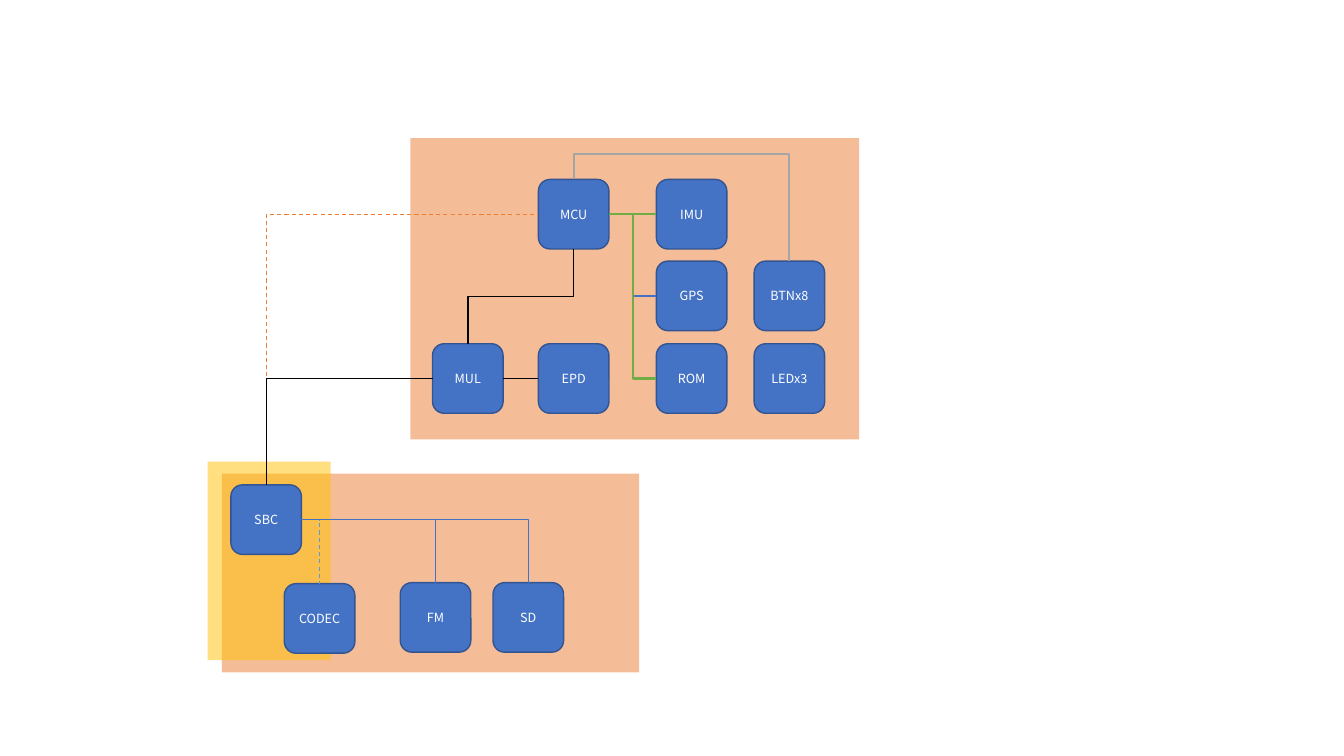
from lxml import etree
from pptx import Presentation
from pptx.dml.color import RGBColor
from pptx.enum.dml import MSO_LINE as Dash
from pptx.enum.shapes import MSO_CONNECTOR as Link, MSO_SHAPE as Shape
from pptx.enum.text import MSO_ANCHOR as Anchor, PP_ALIGN as Align
from pptx.oxml.ns import qn
from pptx.util import Inches, Pt

ORANGE = RGBColor(0xED, 0x7D, 0x31)
GOLD = RGBColor(0xFF, 0xC0, 0x00)
BLUE = RGBColor(0x44, 0x72, 0xC4)
NAVY = RGBColor(0x32, 0x54, 0x91)
SKY = RGBColor(0x5B, 0x9B, 0xD5)
GREEN = RGBColor(0x70, 0xAD, 0x47)
GRAY = RGBColor(0xA5, 0xA5, 0xA5)
BLACK = RGBColor(0x00, 0x00, 0x00)
WHITE = RGBColor(0xFF, 0xFF, 0xFF)
FONT = "Noto Sans CJK KR"

TOP, LEFT, BOTTOM, RIGHT = range(4)
COLS = (4.29, 5.34, 6.51, 7.48)
ROWS = (1.78, 2.59, 3.41)
GRID = (
    ("IMU", 2, 0), ("GPS", 2, 1), ("EPD", 1, 2), ("ROM", 2, 2),
    ("LEDx3", 3, 2), ("BTNx8", 3, 1), ("MCU", 1, 0), ("MUL", 0, 2),
)
LOWER = (("SBC", 2.29, 4.81), ("FM", 3.97, 5.78), ("CODEC", 2.82, 5.79), ("SD", 4.89, 5.78))

# Sides joined: preset, quarter turns, flips, bend position
ROUTES = {
    (RIGHT, LEFT): ("bentConnector3", 0, "", None),
    (RIGHT, TOP): ("bentConnector2", 0, "", None),
    (BOTTOM, TOP): ("bentConnector3", 1, "", None),
    (TOP, LEFT): ("bentConnector2", 1, "HV", None),
    (TOP, TOP): ("bentConnector3", 3, "H", -30700),
}
WIRES = (
    ("SBC", RIGHT, "SD", TOP, BLUE, 0.5, None),
    ("SBC", TOP, "MCU", LEFT, ORANGE, 0.75, Dash.DASH),
    ("MUL", RIGHT, "EPD", LEFT, BLACK, 1, None),
    ("MCU", BOTTOM, "MUL", TOP, BLACK, 1, None),
    ("SBC", TOP, "MUL", LEFT, BLACK, 1, None),
    ("SBC", RIGHT, "CODEC", TOP, SKY, 0.75, Dash.DASH),
    ("SBC", RIGHT, "FM", TOP, BLUE, 0.5, None),
    ("MCU", RIGHT, "IMU", LEFT, GREEN, 1.5, None),
    ("MCU", RIGHT, "GPS", LEFT, BLUE, 1.5, None),
    ("MCU", RIGHT, "ROM", LEFT, GREEN, 1.5, None),
    ("MCU", TOP, "BTNx8", TOP, GRAY, 1.5, None),
)


def add_box(slide, kind, x, y, w, h, color):
    box = slide.shapes.add_shape(kind, Inches(x), Inches(y), Inches(w), Inches(h))
    box.shadow.inherit = False
    box.fill.solid()
    box.fill.fore_color.rgb = color
    return box


def add_panel(slide, x, y, w, h, color):
    """Add a half-transparent board area."""
    panel = add_box(slide, Shape.RECTANGLE, x, y, w, h, color)
    panel.line.fill.background()
    tint = panel.fill._xPr.find(qn("a:solidFill"))[0]
    etree.SubElement(tint, qn("a:alpha"), val="50000")


def put_text(shape, text, size=9, color=WHITE, align=Align.CENTER):
    frame = shape.text_frame
    frame.word_wrap = True
    frame.vertical_anchor = Anchor.MIDDLE
    para = frame.paragraphs[0]
    para.alignment = align
    run = para.add_run()
    run.text = text
    run.font.name = FONT
    run.font.size = Pt(size)
    run.font.color.rgb = color


def add_chip(slide, name, x, y):
    chip = add_box(slide, Shape.ROUNDED_RECTANGLE, x, y, 0.7, 0.69, BLUE)
    chip.line.color.rgb = NAVY
    chip.line.width = Pt(1)
    put_text(chip, name)
    return chip


def set_route(wire, preset, turns, flips, bend):
    """Turn the connector's frame about its centre and choose its bends."""
    props = wire._element.spPr
    frame = props.find(qn("a:xfrm"))
    for axis in "HV":
        frame.set("flip" + axis, str(int(axis in flips)))
    if turns:
        w, h = wire.width, wire.height
        wire.left += (w - h) // 2
        wire.top += (h - w) // 2
        wire.width, wire.height = h, w
        frame.set("rot", str(turns * 5400000))
    shape = props.find(qn("a:prstGeom"))
    shape.set("prst", preset)
    if bend is not None:
        guides = shape.find(qn("a:avLst"))
        etree.SubElement(guides, qn("a:gd"), name="adj1", fmla=f"val {bend}")


def add_wire(slide, start, out, end, into, color, width, dash):
    wire = slide.shapes.add_connector(Link.ELBOW, 0, 0, 0, 0)
    wire.begin_connect(start, out)
    wire.end_connect(end, into)
    set_route(wire, *ROUTES[out, into])
    wire.line.color.rgb = color
    wire.line.width = Pt(width)
    if dash:
        wire.line.dash_style = dash
    etree.SubElement(wire._element.spPr, qn("a:effectLst"))


def main():
    deck = Presentation()
    deck.slide_width, deck.slide_height = Inches(13.33), Inches(7.5)
    slide = deck.slides.add_slide(deck.slide_layouts[6])
    add_panel(slide, 4.07, 1.37, 4.45, 2.99, ORANGE)
    add_panel(slide, 2.2, 4.7, 4.14, 1.97, ORANGE)
    add_panel(slide, 2.06, 4.58, 1.22, 1.97, GOLD)
    spots = LOWER + tuple((name, COLS[col], ROWS[row]) for name, col, row in GRID)
    chips = {name: add_chip(slide, name, x, y) for name, x, y in spots}
    for start, out, end, into, *style in WIRES:
        add_wire(slide, chips[start], out, chips[end], into, *style)
    deck.save("out.pptx")


if __name__ == "__main__":
    main()
